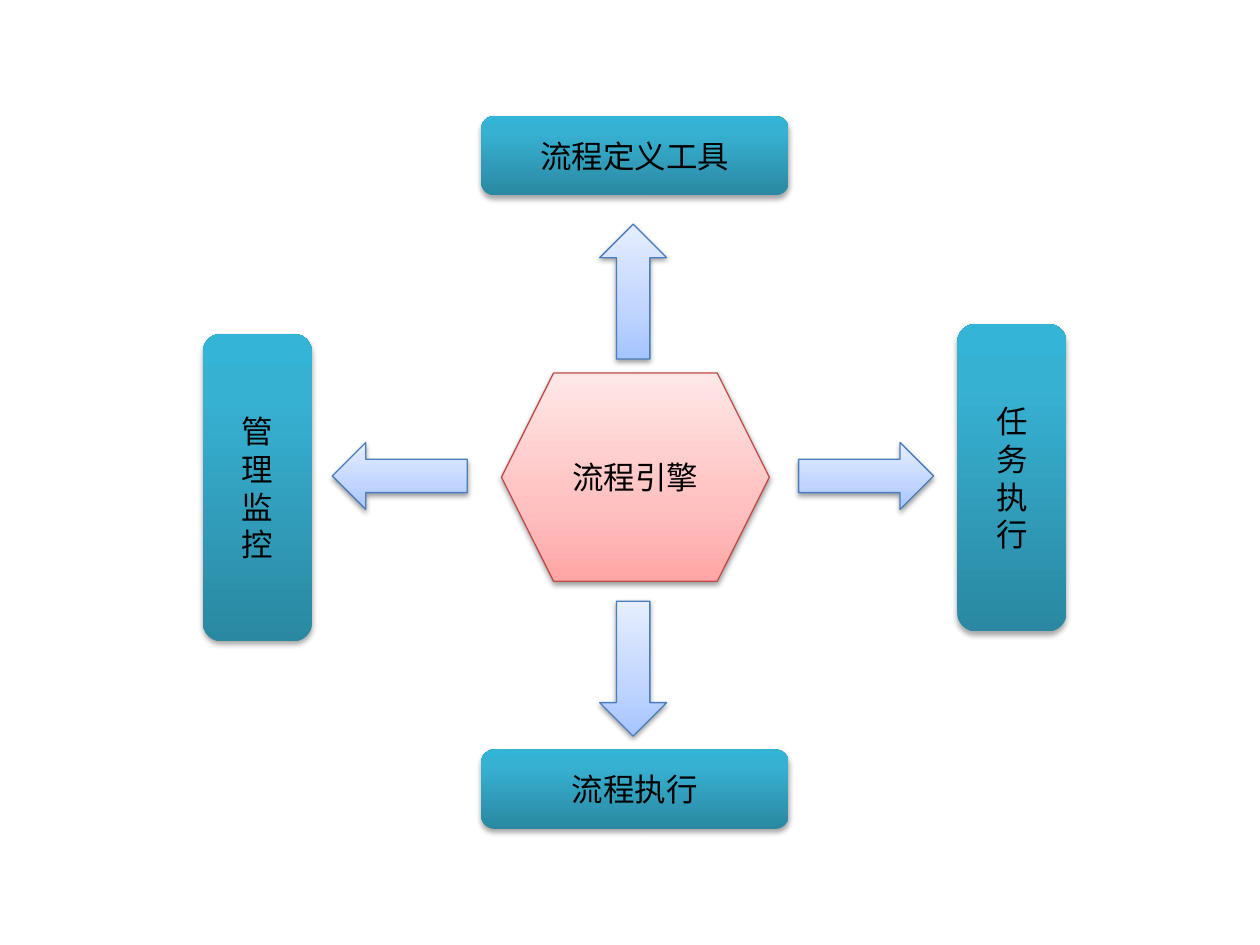
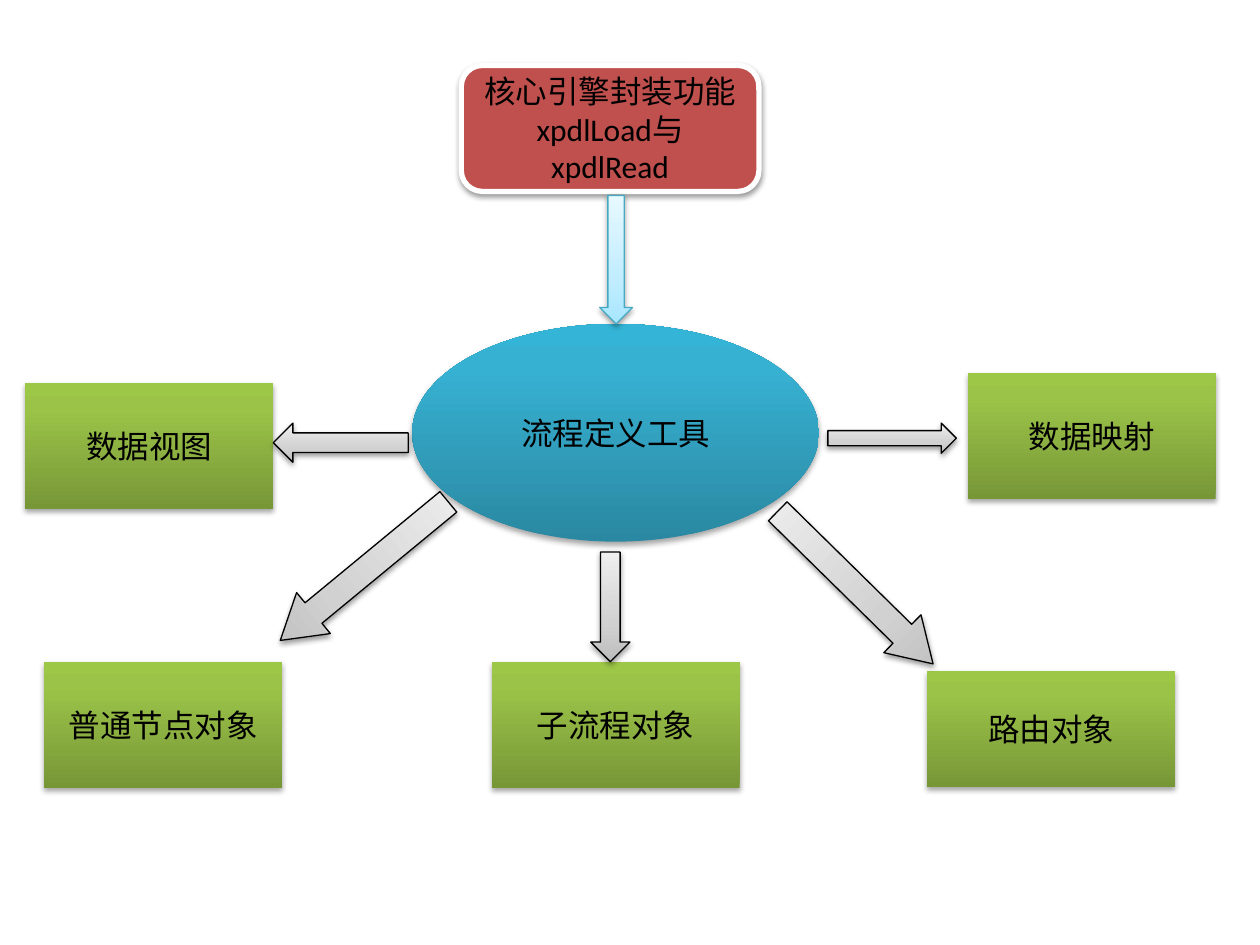
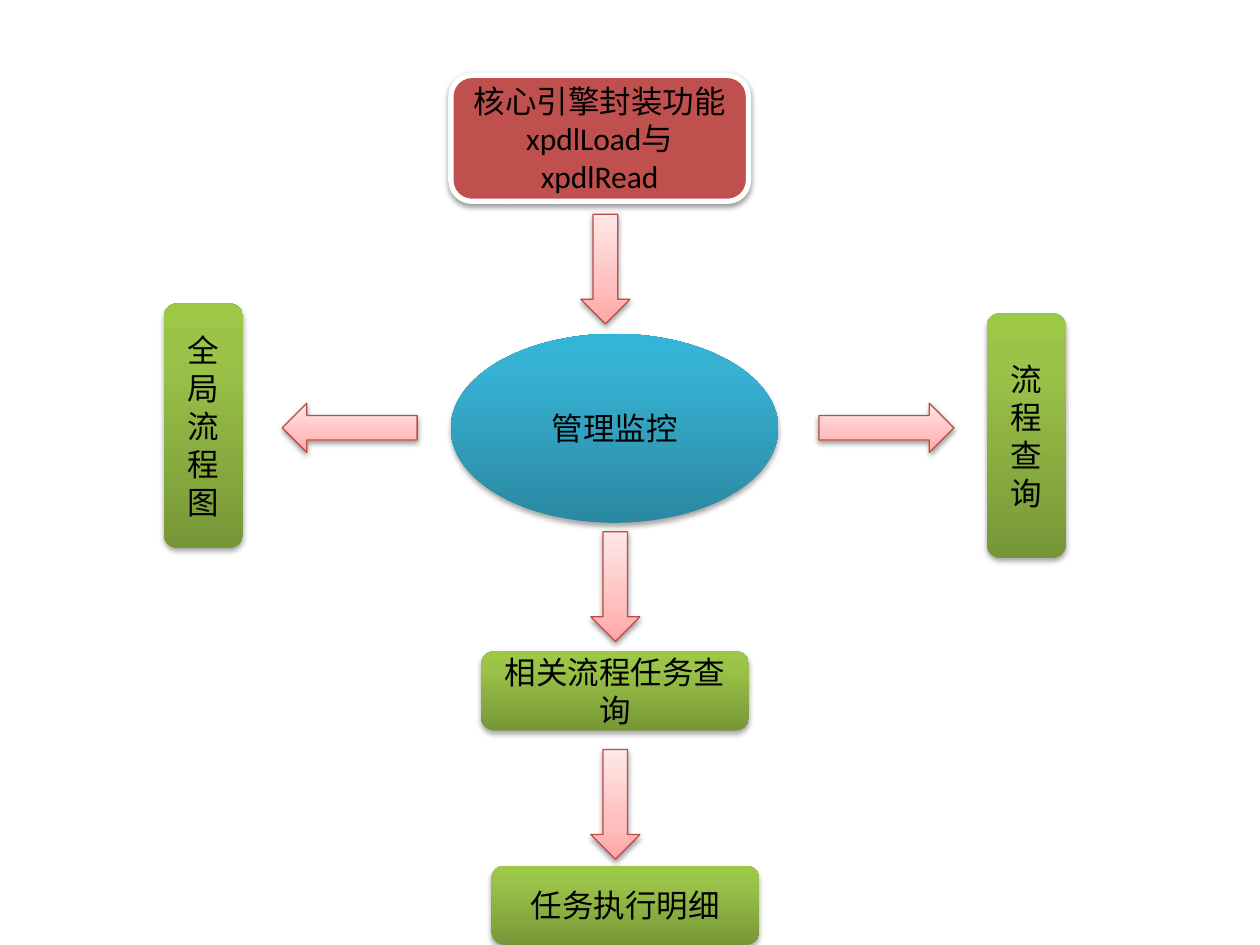
from copy import deepcopy
from typing import NamedTuple, Optional

from lxml.etree import SubElement
from pptx import Presentation
from pptx.dml.color import RGBColor
from pptx.enum.shapes import MSO_SHAPE as SHAPE
from pptx.enum.text import MSO_ANCHOR as ANCHOR, PP_ALIGN as ALIGN
from pptx.oxml.ns import qn
from pptx.util import Cm, Pt

BLACK = RGBColor(0x00, 0x00, 0x00)
WHITE = RGBColor(0xFF, 0xFF, 0xFF)
BRICK = RGBColor(0xC0, 0x50, 0x4D)
BRICK_EDGE = RGBColor(0xBF, 0x4C, 0x48)
BLUE_EDGE = RGBColor(0x4B, 0x7E, 0xBC)
AQUA_EDGE = RGBColor(0x46, 0xAA, 0xC5)

TEAL_STOPS = (RGBColor(0x2A, 0x88, 0xA2), RGBColor(0x37, 0xB1, 0xD2), RGBColor(0x34, 0xB4, 0xD6))
GREEN_STOPS = (RGBColor(0x77, 0x97, 0x37), RGBColor(0x9B, 0xC3, 0x48), RGBColor(0x9D, 0xC7, 0x46))
PINK_STOPS = (RGBColor(0xFF, 0xA6, 0xA5), RGBColor(0xFF, 0xC0, 0xBF), RGBColor(0xFF, 0xE7, 0xE7))
BLUE_STOPS = (RGBColor(0xA4, 0xC4, 0xFF), RGBColor(0xBF, 0xD4, 0xFF), RGBColor(0xE6, 0xEE, 0xFF))
AQUA_STOPS = (RGBColor(0xA7, 0xE6, 0xFF), RGBColor(0xC1, 0xED, 0xFF), RGBColor(0xE7, 0xF8, 0xFF))
GREY_STOPS = (RGBColor(0xBD, 0xBD, 0xBD), RGBColor(0xD1, 0xD1, 0xD1), RGBColor(0xEE, 0xEE, 0xEE))


class Look(NamedTuple):
    colors: tuple
    edge: Optional[RGBColor] = None
    width: float = 0.75


TEAL = Look(TEAL_STOPS)
GREEN = Look(GREEN_STOPS)
PINK = Look(PINK_STOPS, BRICK_EDGE)
BLUE = Look(BLUE_STOPS, BLUE_EDGE)
AQUA = Look(AQUA_STOPS, AQUA_EDGE)
GREY = Look(GREY_STOPS, BLACK)
RED = Look((BRICK,), WHITE, 3)


class Deck:
    font = "Calibri"
    size = Pt(18)

    def __init__(self):
        self.prs = Presentation()
        self.prs.slide_width = Cm(25.4)
        self.prs.slide_height = Cm(19.05)
        self.s = None

    def slide(self):
        self.s = self.prs.slides.add_slide(self.prs.slide_layouts[6])

    def shape(self, kind, look, x, y, w, h):
        sp = self.s.shapes.add_shape(kind, Cm(x), Cm(y), Cm(w), Cm(h))
        self.paint(sp, look)
        self.shadow(sp, look)
        return sp

    def paint(self, sp, look):
        if len(look.colors) == 1:
            sp.fill.solid()
            sp.fill.fore_color.rgb = look.colors[0]
        else:
            sp.fill.gradient()
            sp.fill.gradient_angle = 90
            stops = sp._element.spPr.find(qn("a:gradFill")).find(qn("a:gsLst"))
            stops.append(deepcopy(stops[-1]))
            middle = 0.35 if look.edge is not None else 0.8
            for stop, position, color in zip(sp.fill.gradient_stops, (0, middle, 1), look.colors):
                stop.position = position
                stop.color.rgb = color
        if look.edge is None:
            sp.line.fill.background()
        else:
            sp.line.color.rgb = look.edge
            sp.line.width = Pt(look.width)

    def shadow(self, sp, look):
        distance, alpha = ("23000", "35000") if look.edge is None else ("20000", "38000")
        sp.shadow.inherit = False
        effects = sp._element.spPr.find(qn("a:effectLst"))
        outer = SubElement(effects, qn("a:outerShdw"), blurRad="40000", dist=distance,
                           dir="5400000", rotWithShape="0")
        color = SubElement(outer, qn("a:srgbClr"), val=str(BLACK))
        SubElement(color, qn("a:alpha"), val=alpha)

    def box(self, kind, look, text, x, y, w, h):
        tf = self.shape(kind, look, x, y, w, h).text_frame
        tf.word_wrap = True
        tf.vertical_anchor = ANCHOR.MIDDLE
        for i, line in enumerate(text.split("\n")):
            p = tf.add_paragraph() if i else tf.paragraphs[0]
            p.alignment = ALIGN.CENTER
            r = p.add_run()
            r.text = line
            r.font.name = self.font
            r.font.size = self.size
            r.font.color.rgb = BLACK

    def arrow(self, kind, look, x, y, w, h, rotation=0, head=None):
        sp = self.shape(kind, look, x, y, w, h)
        sp.rotation = rotation
        if head is not None:
            sp.adjustments[1] = head

    def engine_box(self, x, y):
        self.box(SHAPE.ROUNDED_RECTANGLE, RED, "核心引擎封装功能xpdlLoad与xpdlRead", x, y, 6, 2.54)


def engine_slide(deck):
    deck.slide()
    deck.box(SHAPE.HEXAGON, PINK, "流程引擎", 10.11, 7.52, 5.4, 4.2)
    for text, x, y, w, h in (
        ("流程定义工具", 9.7, 2.34, 6.2, 1.6),
        ("流程执行", 9.7, 15.11, 6.2, 1.6),
        ("任\n务\n执\n行", 19.3, 6.53, 2.2, 6.2),
        ("管\n理\n监\n控", 4.09, 6.73, 2.2, 6.2),
    ):
        deck.box(SHAPE.ROUNDED_RECTANGLE, TEAL, text, x, y, w, h)
    length, breadth = 2.72, 1.35
    for kind, x in ((SHAPE.LEFT_ARROW, 6.7), (SHAPE.RIGHT_ARROW, 16.1)):
        deck.arrow(kind, BLUE, x, 8.92, length, breadth)
    for kind, y in ((SHAPE.UP_ARROW, 4.52), (SHAPE.DOWN_ARROW, 12.12)):
        deck.arrow(kind, BLUE, 12.09, y, breadth, length)


def definition_slide(deck):
    deck.slide()
    deck.engine_box(9.3, 1.32)
    deck.box(SHAPE.OVAL, TEAL, "流程定义工具", 8.31, 6.53, 8.2, 4.39)
    for text, x, y, w, h in (
        ("普通节点对象", 0.89, 13.34, 4.8, 2.54),
        ("子流程对象", 9.91, 13.34, 5, 2.54),
        ("路由对象", 18.69, 13.52, 5, 2.34),
        ("数据映射", 19.51, 7.52, 5, 2.54),
        ("数据视图", 0.51, 7.72, 5, 2.54),
    ):
        deck.box(SHAPE.RECTANGLE, GREEN, text, x, y, w, h)
    deck.arrow(SHAPE.DOWN_ARROW, AQUA, 12.09, 3.94, 0.66, 2.59)
    deck.arrow(SHAPE.DOWN_ARROW, GREY, 11.91, 11.13, 0.79, 2.21)
    deck.arrow(SHAPE.RIGHT_ARROW, GREY, 16.69, 8.53, 2.59, 0.61)
    deck.arrow(SHAPE.LEFT_ARROW, GREY, 5.51, 8.53, 2.72, 0.79)
    for x, y, rotation in ((6.81, 9.32, 50.5), (16.71, 9.65, 314.5)):
        deck.arrow(SHAPE.DOWN_ARROW, GREY, x, y, 1.07, 4.39, rotation, head=0.81)


def monitoring_slide(deck):
    deck.slide()
    deck.engine_box(9.09, 1.52)
    deck.box(SHAPE.OVAL, TEAL, "管理监控", 9.09, 6.73, 6.6, 3.81)
    for text, x, y, w, h in (
        ("全局流程图", 3.3, 6.12, 1.6, 4.93),
        ("流程查询", 19.89, 6.32, 1.6, 4.93),
        ("相关流程任务查询", 9.7, 13.13, 5.4, 1.6),
        ("任务执行明细", 9.91, 17.45, 5.4, 1.6),
    ):
        deck.box(SHAPE.ROUNDED_RECTANGLE, GREEN, text, x, y, w, h)
    breadth = 0.99
    for x, y in ((11.71, 4.32), (11.91, 10.72), (11.91, 15.11)):
        deck.arrow(SHAPE.DOWN_ARROW, PINK, x, y, breadth, 2.21)
    for kind, x in ((SHAPE.RIGHT_ARROW, 16.51), (SHAPE.LEFT_ARROW, 5.69)):
        deck.arrow(kind, PINK, x, 8.13, 2.72, breadth)


def main():
    deck = Deck()
    engine_slide(deck)
    definition_slide(deck)
    monitoring_slide(deck)
    deck.prs.save("out.pptx")


if __name__ == "__main__":
    main()
